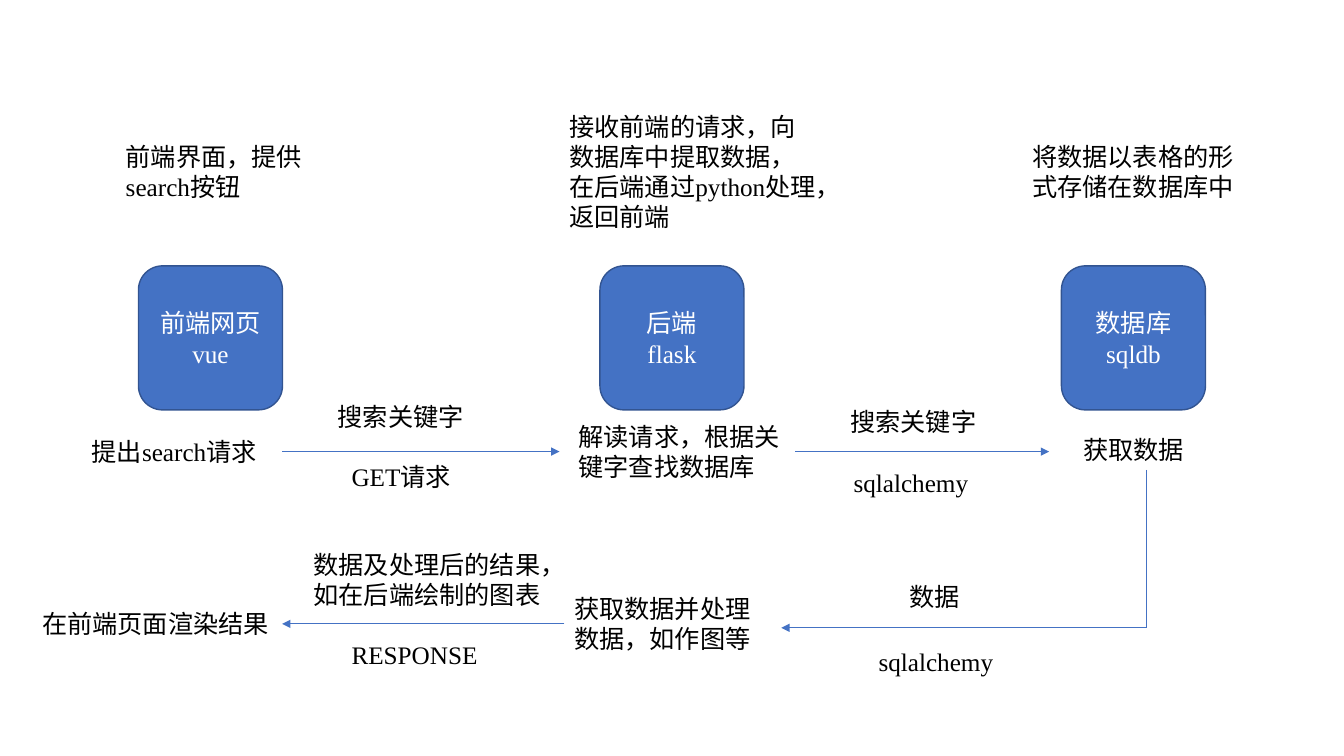
from dataclasses import dataclass

from lxml import etree
from pptx import Presentation
from pptx.dml.color import RGBColor
from pptx.enum.shapes import MSO_CONNECTOR, MSO_SHAPE
from pptx.enum.text import MSO_ANCHOR, MSO_AUTO_SIZE, PP_ALIGN
from pptx.oxml.ns import qn
from pptx.util import Cm, Pt

STRAIGHT = MSO_CONNECTOR.STRAIGHT
ROUND = MSO_SHAPE.ROUNDED_RECTANGLE
MIDDLE = MSO_ANCHOR.MIDDLE
GROW = MSO_AUTO_SIZE.SHAPE_TO_FIT_TEXT
LEFT, CENTER = PP_ALIGN.LEFT, PP_ALIGN.CENTER


@dataclass(frozen=True)
class Theme:
    """Colours, font and sizes of the slide."""
    fill: RGBColor = RGBColor(0x44, 0x72, 0xC4)
    edge: RGBColor = RGBColor(0x32, 0x54, 0x91)
    light: RGBColor = RGBColor(0xFF, 0xFF, 0xFF)
    dark: RGBColor = RGBColor(0, 0, 0)
    font: str = "Times New Roman"
    size: Pt = Pt(18)
    border: Pt = Pt(1)
    thin: Pt = Pt(0.5)


THEME = Theme()
WIDTH, HEIGHT = 33.87, 19.05
BOX, BOX_TOP, BOX_STEP = 3.63, 6.7, 11.63
TIERS = ["前端网页\nvue", "后端\nflask", "数据库\nsqldb"]

NOTES = [
    (2.92, 3.43, 5.31, 2, "前端界面，提供search按钮"),
    (14.1, 2.67, 6.81, 4, "接收前端的请求，向数据库中提取数据，在后端通过python处理，返回前端"),
    (25.76, 3.43, 5.61, 2, "将数据以表格的形式存储在数据库中"),
]
ASK = [
    (2.06, 10.87, 5.05, 1, "提出search请求"),
    (8.26, 9.98, 4.57, 1, "搜索关键字"),
    (8.61, 11.51, 4.39, 1, "GET请求"),
    (14.33, 10.49, 5.72, 2, "解读请求，根据关键字查找数据库"),
    (21.18, 10.11, 4.57, 1, "搜索关键字"),
    (21.26, 11.66, 5.16, 1, "sqlalchemy"),
    (27.05, 10.82, 3.63, 1, "获取数据"),
]
REPLY = [
    (22.66, 14.53, 2.49, 1, "数据"),
    (21.89, 16.15, 5.16, 1, "sqlalchemy"),
    (14.22, 14.83, 5.31, 2, "获取数据并处理数据，如作图等"),
    (7.65, 13.72, 6.81, 2, "数据及处理后的结果，如在后端绘制的图表"),
    (8.61, 15.98, 4.39, 1, "RESPONSE"),
    (0.81, 15.21, 6.43, 1, "在前端页面渲染结果"),
]
FLOWS = [
    (7.11, 11.38, 14.1, 11.38, True),
    (20.04, 11.38, 26.44, 11.38, True),
    (28.88, 11.84, 28.88, 15.82, False),
    (28.88, 15.82, 19.69, 15.82, True),
    (14.22, 15.72, 7.11, 15.72, True),
]


def write(frame, text, color, align):
    """Fill a text frame and format its paragraphs."""
    frame.word_wrap = True
    frame.text = text
    for para in frame.paragraphs:
        para.alignment = align
        para.font.name = THEME.font
        para.font.size = THEME.size
        para.font.color.rgb = color


def add_tier(slide, index, text):
    """Add one rounded box, centred on its column."""
    left = (WIDTH - BOX) / 2 + (index - 1) * BOX_STEP
    box = slide.shapes.add_shape(ROUND, Cm(left), Cm(BOX_TOP), Cm(BOX), Cm(BOX))
    box.shadow.inherit = False
    box.fill.solid()
    box.fill.fore_color.rgb = THEME.fill
    box.line.color.rgb = THEME.edge
    box.line.width = THEME.border
    box.text_frame.vertical_anchor = MIDDLE
    write(box.text_frame, text, THEME.light, CENTER)


def add_label(slide, left, top, width, lines, text):
    """Add a text box as tall as its number of lines."""
    height = 0.26 + 0.77 * lines
    label = slide.shapes.add_textbox(Cm(left), Cm(top), Cm(width), Cm(height))
    write(label.text_frame, text, THEME.dark, LEFT)
    label.text_frame.auto_size = GROW


def add_flow(slide, x1, y1, x2, y2, arrow):
    """Add a thin line, with an arrowhead at its end if asked."""
    flow = slide.shapes.add_connector(STRAIGHT, Cm(x1), Cm(y1), Cm(x2), Cm(y2))
    flow.line.color.rgb = THEME.fill
    flow.line.width = THEME.thin
    if arrow:
        stroke = flow.line._get_or_add_ln()
        etree.SubElement(stroke, qn("a:tailEnd"), type="triangle")
    etree.SubElement(flow._element.spPr, qn("a:effectLst"))


def main():
    """Build the request and reply diagram and save it."""
    deck = Presentation()
    deck.slide_width, deck.slide_height = Cm(WIDTH), Cm(HEIGHT)
    slide = deck.slides.add_slide(deck.slide_layouts[6])
    for index, text in enumerate(TIERS):
        add_tier(slide, index, text)
    for label in NOTES + ASK + REPLY:
        add_label(slide, *label)
    for flow in FLOWS:
        add_flow(slide, *flow)
    deck.save("out.pptx")


main()
